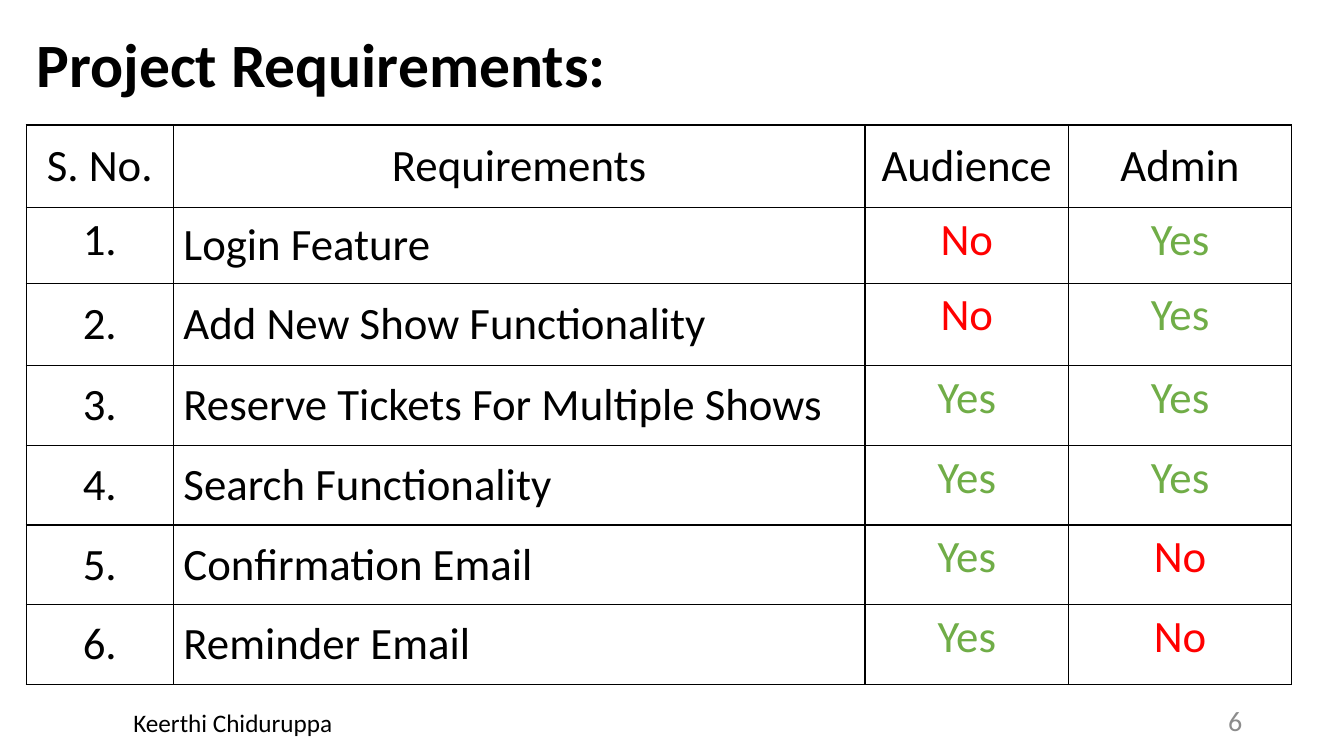
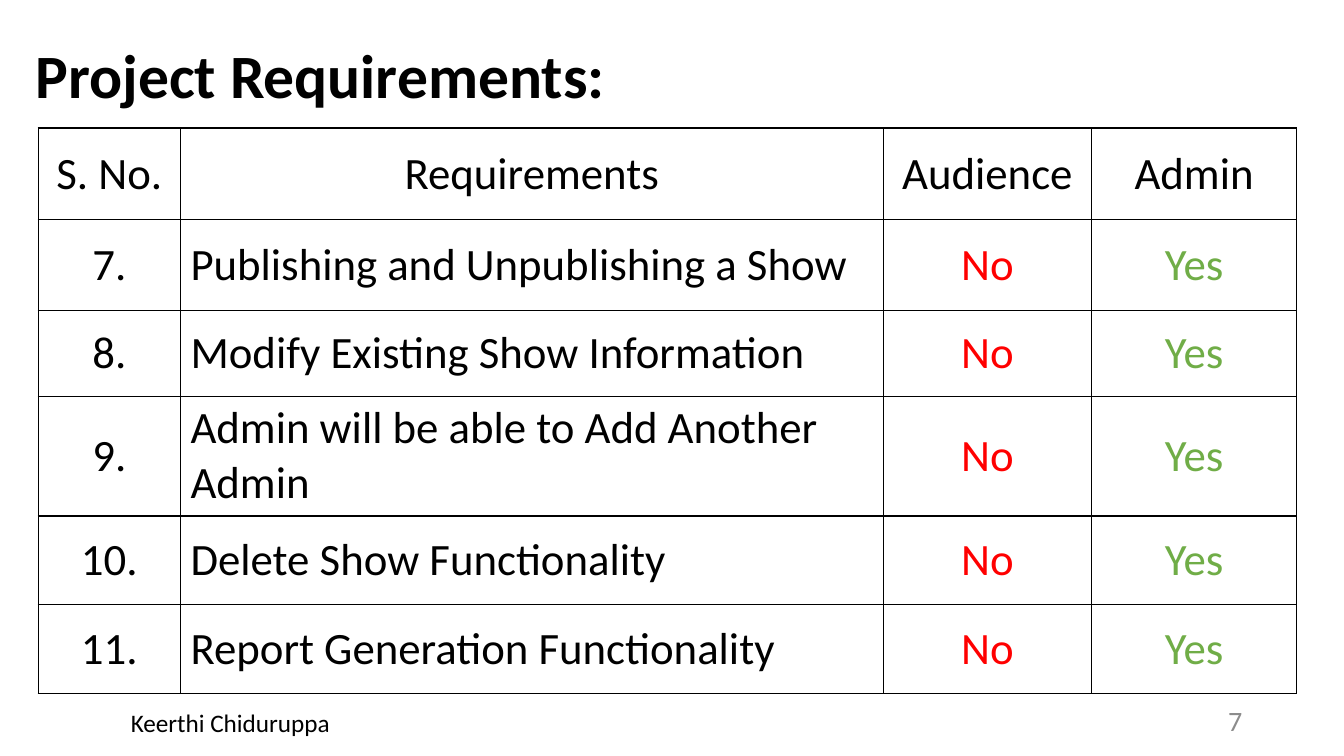
from lxml.etree import SubElement
from pptx import Presentation
from pptx.dml.color import RGBColor
from pptx.enum.text import MSO_ANCHOR as Anchor, MSO_AUTO_SIZE as AutoSize, PP_ALIGN as Align
from pptx.oxml.ns import qn
from pptx.util import Inches, Pt

BLACK = RGBColor(0x00, 0x00, 0x00)
WHITE = RGBColor(0xFF, 0xFF, 0xFF)
GREY = RGBColor(0x8C, 0x8C, 0x8C)
MARK_COLORS = {"Yes": RGBColor(0x70, 0xAD, 0x47), "No": RGBColor(0xFF, 0x00, 0x00)}
FONT = "Calibri"
TITLE = "Project Requirements:"
AUTHOR = "Keerthi Chiduruppa"
HEADINGS = ("S. No.", "Requirements", "Audience", "Admin")

CORE_REQUIREMENTS = [
    ("Login Feature", "No", "Yes"),
    ("Add New Show Functionality", "No", "Yes"),
    ("Reserve Tickets For Multiple Shows", "Yes", "Yes"),
    ("Search Functionality", "Yes", "Yes"),
    ("Confirmation Email", "Yes", "No"),
    ("Reminder Email", "Yes", "No"),
]
ADMIN_REQUIREMENTS = [
    (name, "No", "Yes")
    for name in (
        "Publishing and Unpublishing a Show",
        "Modify Existing Show Information",
        "Admin will be able to Add Another Admin",
        "Delete Show Functionality",
        "Report Generation Functionality",
    )
]


def write(frame, text, size, color=BLACK, align=Align.LEFT, bold=False):
    """Write one formatted run into the frame's first paragraph."""
    para = frame.paragraphs[0]
    para.alignment = align
    span = para.add_run()
    span.text = text
    span.font.name = FONT
    span.font.size = Pt(size)
    span.font.bold = bold
    span.font.color.rgb = color
    return para


def add_title(page, box):
    """Place the bold heading in the title placeholder."""
    title = page.shapes.title
    title.left, title.top, title.width, title.height = map(Inches, box)
    frame = title.text_frame
    frame.auto_size = AutoSize.NONE
    frame.vertical_anchor = Anchor.MIDDLE
    write(frame, TITLE, 44, bold=True).line_spacing = 0.9


def add_label(page, box, text, size, color, align, anchor):
    """Place one line of footer text in the box."""
    frame = page.shapes.add_textbox(*map(Inches, box)).text_frame
    frame.word_wrap = True
    frame.vertical_anchor = anchor
    write(frame, text, size, color, align)


def add_footer(page, number, author_width):
    """Place the author name and the page number."""
    add_label(page, (9.42, 6.95, 3, 0.4), str(number), 20, GREY, Align.RIGHT, Anchor.MIDDLE)
    add_label(page, (0.42, 6.97, author_width, 0.71), AUTHOR, 18, BLACK, Align.CENTER, Anchor.TOP)


def outline_cell(cell):
    """Fill the cell white and give it thin black borders."""
    props = cell._tc.get_or_add_tcPr()
    for side in ("lnL", "lnR", "lnT", "lnB"):
        line = SubElement(props, qn(f"a:{side}"), w=str(Pt(1)))
        fill = SubElement(line, qn("a:solidFill"))
        SubElement(fill, qn("a:srgbClr"), val=str(BLACK))
    cell.fill.solid()
    cell.fill.fore_color.rgb = WHITE


def add_requirements(page, corner, widths, heights, first, items, mark_anchor):
    """Place the numbered requirements table and return it."""
    rows = [HEADINGS] + [(f"{n}.", *item) for n, item in enumerate(items, first)]
    box = (*corner, sum(widths), sum(heights))
    table = page.shapes.add_table(len(rows), len(widths), *map(Inches, box)).table
    table.first_row = table.horz_banding = False
    for column, width in zip(table.columns, widths):
        column.width = Inches(width)
    for row, height in zip(table.rows, heights):
        row.height = Inches(height)
    for r, texts in enumerate(rows):
        for c, text in enumerate(texts):
            cell = table.cell(r, c)
            outline_cell(cell)
            is_mark = text in MARK_COLORS
            cell.vertical_anchor = mark_anchor if is_mark else Anchor.MIDDLE
            align = Align.LEFT if r and c == 1 else Align.CENTER
            write(cell.text_frame, text, 32, MARK_COLORS.get(text, BLACK), align)
    return table


def add_core_page(deck):
    """Build the page with the first six requirements."""
    page = deck.slides.add_slide(deck.slide_layouts[5])
    add_title(page, (0.26, 0.13, 12.16, 1.09))
    table = add_requirements(
        page, (0.26, 1.24), (1.46, 6.86, 2.02, 2.21),
        (0.82, 0.75, 0.82, *[0.79] * 4), 1, CORE_REQUIREMENTS, Anchor.TOP)
    table.cell(1, 0).vertical_anchor = Anchor.TOP
    add_footer(page, 6, 3.78)


def add_admin_page(deck):
    """Build the page with the remaining requirements."""
    page = deck.slides.add_slide(deck.slide_layouts[5])
    add_title(page, (0.25, 0.26, 12.16, 1.03))
    add_requirements(
        page, (0.38, 1.27), (1.41, 6.97, 2.07, 2.03),
        (0.91, 0.9, 0.85, 1.19, 0.88, 0.88), 7, ADMIN_REQUIREMENTS, Anchor.MIDDLE)
    add_footer(page, 7, 3.73)


def main():
    """Build and save the deck."""
    deck = Presentation()
    deck.slide_width, deck.slide_height = Inches(13.33), Inches(7.5)
    add_core_page(deck)
    add_admin_page(deck)
    deck.save("out.pptx")


if __name__ == "__main__":
    main()
